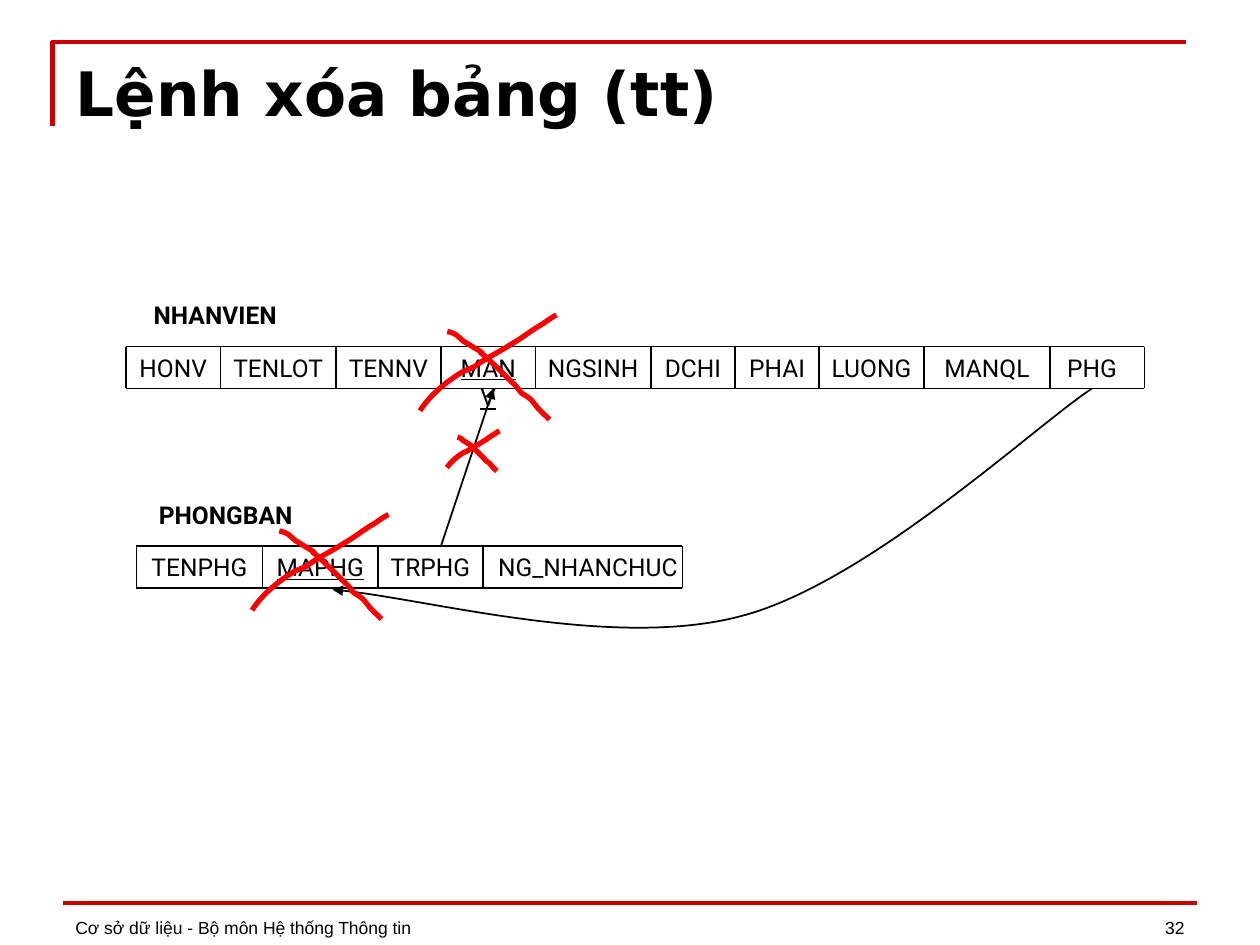
from dataclasses import dataclass

from lxml.etree import SubElement as Sub
from pptx import Presentation
from pptx.dml.color import RGBColor as Color
from pptx.enum.shapes import MSO_CONNECTOR as Link
from pptx.enum.text import MSO_ANCHOR as Anchor, MSO_AUTO_SIZE as Auto, PP_ALIGN as Align
from pptx.oxml.ns import qn
from pptx.util import Pt

Point = tuple[float, float]


@dataclass(frozen=True)
class Theme:
    """Colours, fonts, type sizes and line widths."""
    ink: Color = Color(0, 0, 0)
    trim: Color = Color(0xCC, 0, 0)
    mark: Color = Color(0xFF, 0, 0)
    head: str = "DejaVu Sans"
    body: str = "Roboto"
    foot: str = "Arial"
    big: float = 35
    mid: float = 14
    small: float = 10
    thin: float = 1
    rule: float = 2
    edge: float = 2.5
    thick: float = 3


@dataclass(frozen=True)
class Field:
    """A column of a relation."""
    name: str
    width: float
    key: bool = False
    room: float = 0


@dataclass(frozen=True)
class Table:
    """A relation with its name, place and columns."""
    name: str
    left: float
    top: float
    fields: tuple[Field, ...]


@dataclass(frozen=True)
class Cross:
    """A hand-drawn cross at a place and scale."""
    left: float
    top: float
    scale: float = 1


THEME = Theme()
HIGH = 24
RISE = 30

TABLES = (
    Table("NHANVIEN", 72, 198, (
        Field("HONV", 54), Field("TENLOT", 66), Field("TENNV", 60),
        Field("MANV", 54, key=True), Field("NGSINH", 66), Field("DCHI", 48),
        Field("PHAI", 48), Field("LUONG", 60), Field("MANQL", 72),
        Field("PHG", 54, room=-6))),
    Table("PHONGBAN", 78, 312, (
        Field("TENPHG", 72), Field("MAPHG", 66, key=True),
        Field("TRPHG", 60), Field("NG_NHANCHUC", 114, room=6))),
)

CROSSES = (Cross(255.4, 246.2, 0.385), Cross(240, 180), Cross(144, 294))

STROKES = (
    ((0, 54.7), (6, 45.4), (16, 37.4), (24.5, 32.4),
     (27.4, 31), (31, 30.2), (33.1, 28.1),
     (39.4, 23.8), (45.8, 20.9), (52.3, 16.6),
     (58.8, 13), (63.8, 8.6), (70.3, 5), (73, 3), (76, 1), (78, 0)),
    ((15.6, 9.4), (21.4, 10.8), (20.6, 11.5), (25, 15.1),
     (27.8, 16.6), (30.7, 18.7), (33.6, 20.2),
     (39.4, 24.5), (31.4, 19.4), (36.5, 23),
     (42.2, 28.1), (47.3, 33.1), (53, 38.9),
     (55.2, 40.3), (56.6, 43.2), (58, 44.6),
     (60.2, 46.1), (63.1, 47.5), (64.6, 49.7),
     (66, 51.1), (66.7, 52.6), (67.4, 53.3),
     (68.2, 54.7), (69.6, 54.7), (70.3, 56.2),
     (71.8, 56.9), (72.5, 59), (74, 59.8)),
)

SWEEP = ((624, 222), (590.4, 244.2), (495.4, 333.4), (423.4, 352.1),
         (350.6, 371.5), (238.3, 340.6), (190, 337))


def style(shape, color: Color, width: float, arrow: bool = False) -> None:
    """Set the stroke of a line shape."""
    shape.line.color.rgb = color
    shape.line.width = Pt(width)
    if arrow:
        Sub(shape.line._get_or_add_ln(), qn("a:tailEnd"), type="triangle")


def line(slide, start: Point, end: Point, color: Color = THEME.ink,
         width: float = THEME.thin, arrow: bool = False) -> None:
    """Draw a straight line."""
    ends = (Pt(v) for v in (*start, *end))
    link = slide.shapes.add_connector(Link.STRAIGHT, *ends)
    style(link, color, width, arrow)
    Sub(link._element.spPr, qn("a:effectLst"))


def trace(slide, dots: list[Point], color: Color, width: float, arrow: bool = False):
    """Draw an open outline through points."""
    first, *rest = [(Pt(x), Pt(y)) for x, y in dots]
    pen = slide.shapes.build_freeform(*first)
    pen.add_line_segments(rest, close=False)
    shape = pen.convert_to_shape()
    shape.fill.background()
    shape.shadow.inherit = False
    style(shape, color, width, arrow)
    return shape


def curve(slide, dots: list[Point], color: Color, width: float,
          arrow: bool = False) -> None:
    """Draw a chain of cubic curves from its knots and handles."""
    shape = trace(slide, dots, color, width, arrow)
    route = next(shape._element.iter(qn("a:path")))
    legs = route.findall(qn("a:lnTo"))
    for i in range(0, len(legs), 3):
        arc = Sub(route, qn("a:cubicBezTo"))
        for leg in legs[i:i + 3]:
            arc.append(leg[0])
            route.remove(leg)


def place(shape, left: float, top: float, width: float, high: float) -> None:
    """Move and size a shape."""
    shape.left, shape.top = Pt(left), Pt(top)
    shape.width, shape.height = Pt(width), Pt(high)


def write(shape, text: str, face: str, size: float, align: Align = Align.LEFT,
          anchor: Anchor = Anchor.TOP, bold: bool = False, under: bool = False,
          fit: Auto = Auto.NONE) -> None:
    """Fill a shape with one styled paragraph."""
    frame = shape.text_frame
    frame.text = text
    frame.word_wrap = True
    frame.auto_size = fit
    frame.vertical_anchor = anchor
    para = frame.paragraphs[0]
    para.alignment = align
    font = para.font
    font.name, font.size, font.bold, font.underline = face, Pt(size), bold, under
    font.color.rgb = THEME.ink


def label(slide, box: tuple[float, ...], text: str, face: str = THEME.body,
          size: float = THEME.mid, align: Align = Align.CENTER, **more) -> None:
    """Add a text box."""
    shape = slide.shapes.add_textbox(*(Pt(v) for v in box))
    write(shape, text, face, size, align, **more)


def draw(slide, table: Table) -> None:
    """Draw a relation as a ruled row."""
    fit = Auto.SHAPE_TO_FIT_TEXT
    label(slide, (table.left, table.top - RISE, 102, HIGH), table.name,
          bold=True, fit=fit)
    low = table.top + HIGH
    marks = [table.left]
    for field in table.fields:
        label(slide, (marks[-1], table.top, field.width + field.room, HIGH),
              field.name, under=field.key, fit=fit)
        marks.append(marks[-1] + field.width)
    for y in (table.top, low):
        line(slide, (marks[0], y), (marks[-1], y))
    for x in marks:
        line(slide, (x, table.top), (x, low))


def strike(slide, cross: Cross) -> None:
    """Draw a cross from its two strokes."""
    for stroke in STROKES:
        dots = [(cross.left + x * cross.scale, cross.top + y * cross.scale)
                for x, y in stroke]
        curve(slide, dots, THEME.mark, THEME.thick)


def main() -> None:
    """Build and save the slide."""
    deck = Presentation()
    deck.slide_width, deck.slide_height = Pt(720), Pt(540)
    slide = deck.slides.add_slide(deck.slide_layouts[5])
    title = slide.shapes.title
    place(title, 36, 28, 648, 49)
    write(title, "Lệnh xóa bảng (tt)", THEME.head, THEME.big, bold=True)
    trace(slide, [(30, 72), (30, 24), (678, 24)], THEME.trim, THEME.edge)
    line(slide, (36, 516), (684, 516), THEME.trim, THEME.rule)
    for left, width, text, align in (
            (36, 438, "Cơ sở dữ liệu - Bộ môn Hệ thống Thông tin", Align.LEFT),
            (516, 168, "32", Align.RIGHT)):
        label(slide, (left, 503.5, width, 36), text, THEME.foot, THEME.small,
              align, anchor=Anchor.BOTTOM)
    for table in TABLES:
        draw(slide, table)
    line(slide, (252, 312), (282, 222), arrow=True)
    curve(slide, SWEEP, THEME.ink, THEME.thin, arrow=True)
    for cross in CROSSES:
        strike(slide, cross)
    deck.save("out.pptx")


if __name__ == "__main__":
    main()
